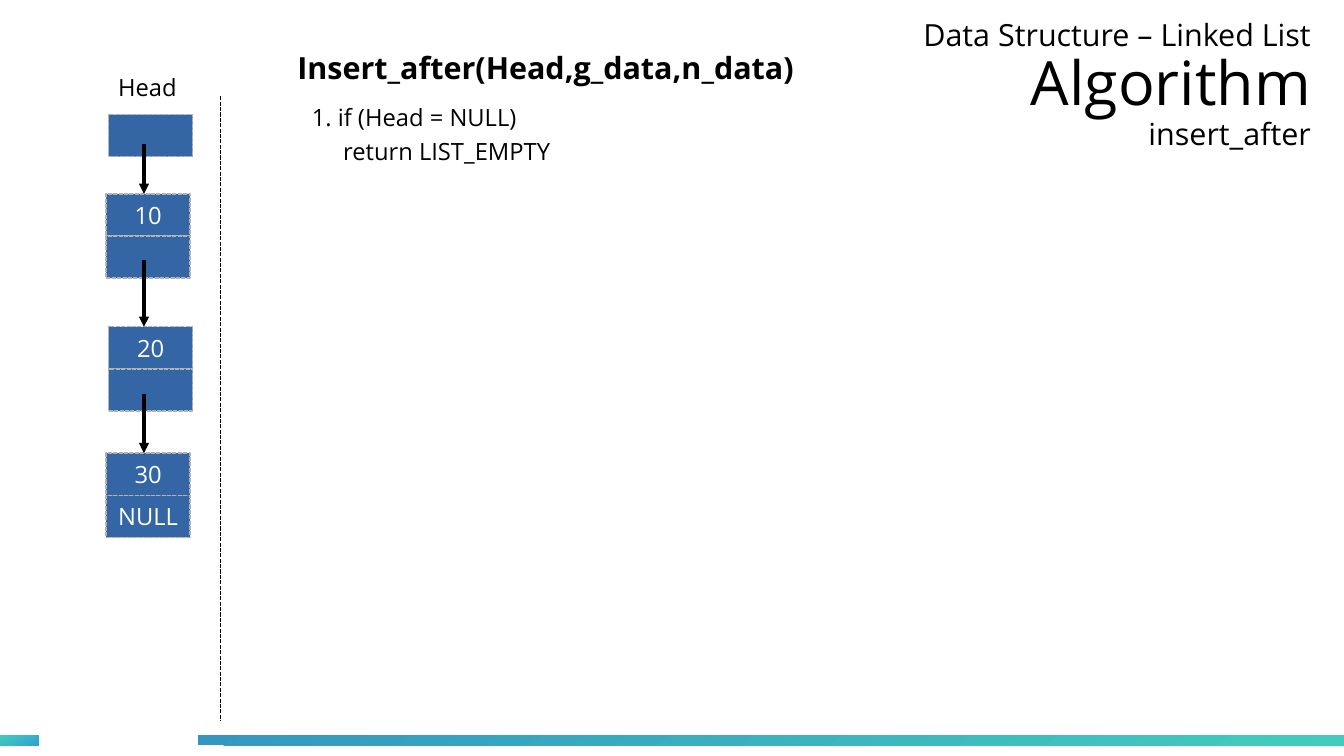
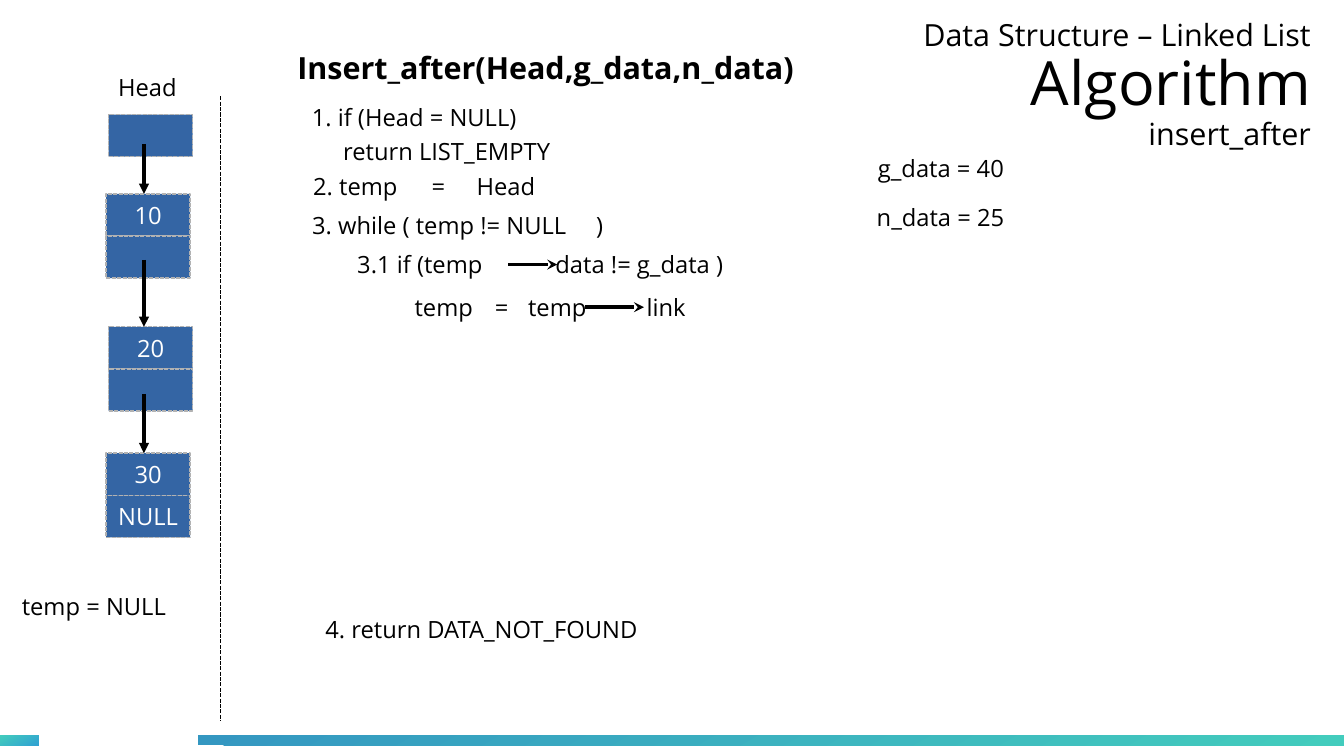
"""Builds two slides on inserting into a linked list."""
from dataclasses import dataclass

from lxml.etree import SubElement
from pptx import Presentation
from pptx.dml.color import RGBColor
from pptx.enum.dml import MSO_LINE
from pptx.enum.shapes import MSO_CONNECTOR, MSO_SHAPE
from pptx.enum.text import MSO_ANCHOR, PP_ALIGN
from pptx.oxml.ns import qn
from pptx.slide import Slide
from pptx.text.text import TextFrame
from pptx.util import Pt

BLACK = RGBColor(0x00, 0x00, 0x00)
WHITE = RGBColor(0xFF, 0xFF, 0xFF)
NODE_BLUE = RGBColor(0x34, 0x65, 0xA4)
NODE_EDGE = RGBColor(0xB2, 0xB2, 0xB2)
TEAL = RGBColor(0x43, 0xCC, 0xBD)
SKY = RGBColor(0x30, 0xA2, 0xD2)
STEEL = RGBColor(0x34, 0x97, 0xC1)

FONT = "Open Sans"
SLIDE_WIDTH, SLIDE_HEIGHT = 793.44, 446.4
CELL_WIDTH, CELL_HEIGHT = 49.7, 24.9
LINE_HEIGHT = 26
LINK_X = 85
THIN = 0.79


@dataclass(frozen=True)
class Band:
    left: float
    width: float
    start: RGBColor
    end: RGBColor


@dataclass(frozen=True)
class Node:
    left: float
    top: float
    cells: tuple[str, ...]


@dataclass(frozen=True)
class Line:
    text: str
    left: float
    top: float
    width: float = 260
    tabs: tuple[float, ...] = ()


@dataclass(frozen=True)
class Arrow:
    x1: float
    y1: float
    x2: float
    y2: float
    head: str


BANDS = (Band(0, 23, TEAL, SKY), Band(117, 676.44, STEEL, TEAL))
NODES = (
    Node(64.1, 67.7, ("",)),
    Node(62.6, 114.5, ("10", "")),
    Node(64.1, 193, ("20", "")),
    Node(62.6, 267.6, ("30", "NULL")),
)
LINKS = tuple(
    Arrow(LINK_X, top, LINK_X, target.top, "triangle")
    for top, target in zip((85, 153.4, 232.6), NODES[1:])
)
EMPTY_CHECK = (
    Line("1. if (Head = NULL)", 177, 56.9),
    Line("return LIST_EMPTY", 195.5, 77.4),
)
SEARCH = (
    Line("2. temp\t=\tHead", 177.8, 97.9, tabs=(70, 96.5)),
    Line("3. while ( temp != NULL\t)", 177.2, 121, tabs=(167.6,)),
    Line("3.1 if (temp\tdata != g_data )", 203.8, 144, 290, (117,)),
    Line("temp\t=\ttemp\tlink", 237.7, 169.2, tabs=(47.4, 67, 137)),
    Line("4. return DATA_NOT_FOUND", 185, 359.3),
    Line("g_data = 40", 511.2, 87.1, 124),
    Line("n_data = 25", 510.5, 115.9, 130),
    Line("temp = NULL", 5.8, 345.6, 119),
)
FIELD_ARROWS = (
    Arrow(300.2, 156.2, 329, 156.2, "stealth"),
    Arrow(345.6, 181.4, 380.2, 181.4, "stealth"),
)


def write(frame: TextFrame, text: str, *, sizes: tuple[float, ...] = (14,),
          color: RGBColor = BLACK, bold: bool = False,
          align: PP_ALIGN = PP_ALIGN.LEFT, anchor: MSO_ANCHOR = MSO_ANCHOR.TOP,
          wrap: bool = True, spacing: float = 1,
          tabs: tuple[float, ...] = ()) -> None:
    """Fill a frame, one paragraph for each size."""
    frame.word_wrap = wrap
    frame.vertical_anchor = anchor
    frame.text = text
    for paragraph, size in zip(frame.paragraphs, sizes):
        paragraph.alignment = align
        paragraph.line_spacing = spacing
        font = paragraph.runs[0].font
        font.name, font.size, font.bold = FONT, Pt(size), bold
        font.color.rgb = color
        if tabs:
            stops = SubElement(paragraph._p.get_or_add_pPr(), qn("a:tabLst"))
            for tab in tabs:
                SubElement(stops, qn("a:tab"), pos=str(Pt(tab)), algn="l")


def add_text_area(slide: Slide, left: float, top: float, width: float,
                  height: float) -> TextFrame:
    """Add a text box and return its frame."""
    return slide.shapes.add_textbox(
        Pt(left), Pt(top), Pt(width), Pt(height)).text_frame


def add_line(slide: Slide, line: Line) -> None:
    """Add one line of the algorithm or of its variables."""
    frame = add_text_area(slide, line.left, line.top, line.width, LINE_HEIGHT)
    write(frame, line.text, tabs=line.tabs)


def add_band(slide: Slide, band: Band) -> None:
    """Add one part of the gradient footer."""
    strip = slide.shapes.add_shape(
        MSO_SHAPE.RECTANGLE, Pt(band.left), Pt(434.2), Pt(band.width), Pt(6))
    strip.shadow.inherit = False
    strip.line.fill.background()
    strip.fill.gradient()
    strip.fill.gradient_angle = 300
    for stop, color in zip(strip.fill.gradient_stops, (band.start, band.end)):
        stop.color.rgb = color


def add_node(slide: Slide, node: Node) -> None:
    """Add the stacked cells of a list node."""
    for row, value in enumerate(node.cells):
        cell = slide.shapes.add_shape(
            MSO_SHAPE.RECTANGLE, Pt(node.left),
            Pt(node.top + row * CELL_HEIGHT), Pt(CELL_WIDTH), Pt(CELL_HEIGHT))
        cell.shadow.inherit = False
        cell.fill.solid()
        cell.fill.fore_color.rgb = NODE_BLUE
        cell.line.color.rgb = NODE_EDGE
        cell.line.width = Pt(THIN)
        cell.line.dash_style = MSO_LINE.SQUARE_DOT
        if value:
            write(cell.text_frame, value, color=WHITE, wrap=False,
                  align=PP_ALIGN.CENTER, anchor=MSO_ANCHOR.MIDDLE)


def add_stroke(slide: Slide, arrow: Arrow, width: float = 0) -> None:
    """Add a solid arrow, or a dotted line when there is no head."""
    stroke = slide.shapes.add_connector(
        MSO_CONNECTOR.STRAIGHT, Pt(arrow.x1), Pt(arrow.y1),
        Pt(arrow.x2), Pt(arrow.y2))
    stroke.line.color.rgb = BLACK
    stroke.line.width = Pt(width)
    if arrow.head:
        SubElement(stroke.line._get_or_add_ln(), qn("a:tailEnd"),
                   type=arrow.head)
    else:
        stroke.line.dash_style = MSO_LINE.SQUARE_DOT
    SubElement(stroke._element.spPr, qn("a:effectLst"))


def add_slide(deck: Presentation, lines: tuple[Line, ...],
              arrows: tuple[Arrow, ...] = ()) -> None:
    """Add a slide with the shared frame and list, and its own lines."""
    slide = deck.slides.add_slide(deck.slide_layouts[6])
    for band in BANDS:
        add_band(slide, band)

    title = add_text_area(slide, 524.9, -1.4, 249.1, 104.4)
    title.margin_left = title.margin_right = Pt(0)
    title.margin_top = title.margin_bottom = Pt(0)
    write(title, "Data Structure – Linked List\nAlgorithm\ninsert_after",
          sizes=(18, 36, 18), align=PP_ALIGN.RIGHT,
          anchor=MSO_ANCHOR.MIDDLE, spacing=0.9)
    signature = add_text_area(slide, 168.5, 25.2, 380, 49)
    write(signature, "Insert_after(Head,g_data,n_data)", sizes=(18,), bold=True)

    add_stroke(slide, Arrow(130.3, 56.9, 130.3, 425.5, ""), THIN)
    for node in NODES:
        add_node(slide, node)
    add_line(slide, Line("Head", 62.6, 39.6, 60))
    for arrow in LINKS + arrows:
        add_stroke(slide, arrow)
    for line in lines:
        add_line(slide, line)


def main() -> None:
    """Build and save the presentation."""
    deck = Presentation()
    deck.slide_width, deck.slide_height = Pt(SLIDE_WIDTH), Pt(SLIDE_HEIGHT)
    add_slide(deck, EMPTY_CHECK)
    add_slide(deck, EMPTY_CHECK + SEARCH, FIELD_ARROWS)
    deck.save("out.pptx")


if __name__ == "__main__":
    main()
